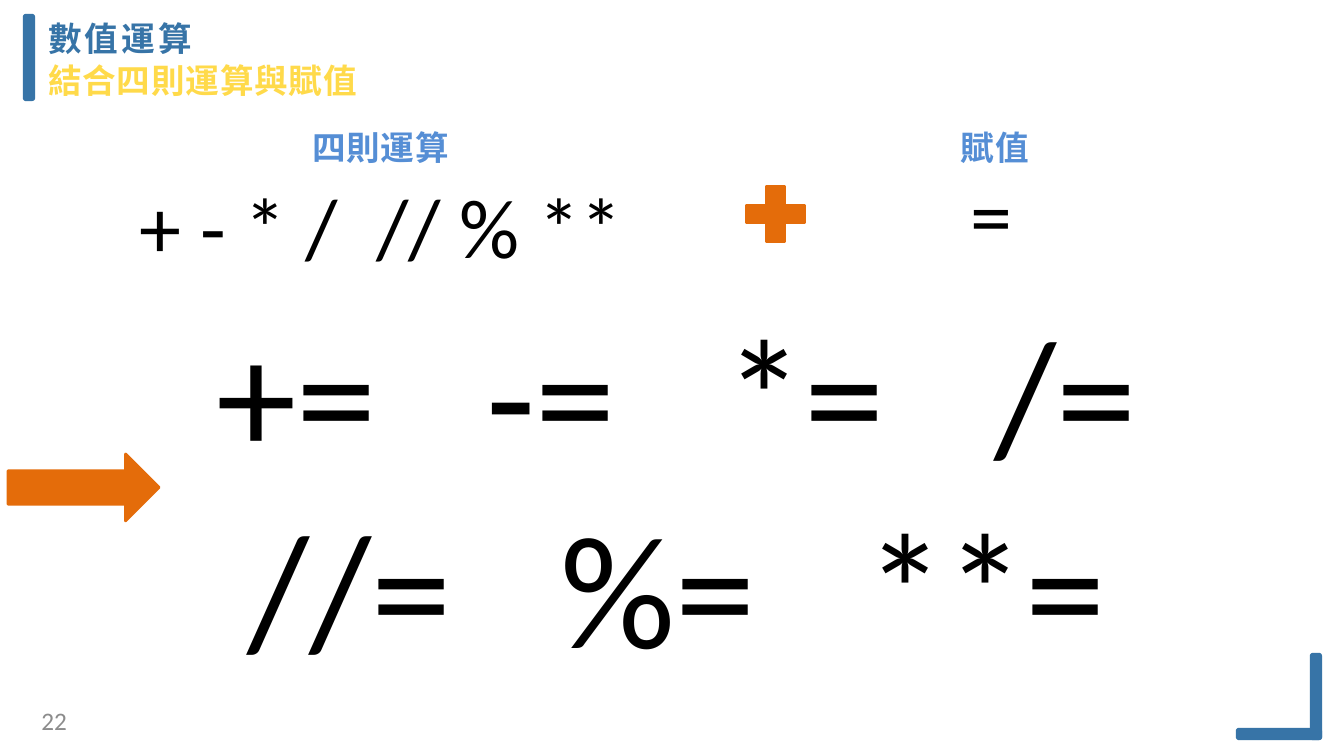
from pptx import Presentation
from pptx.dml.color import RGBColor
from pptx.enum.shapes import MSO_SHAPE
from pptx.enum.text import MSO_ANCHOR, MSO_AUTO_SIZE, PP_ALIGN
from pptx.util import Pt

EMU_PER_PIXEL = 914400 / 100.8
COLORS = {"blue": "3774A7", "yellow": "FFDA4A", "heading": "558ED5",
          "orange": "E46C0A", "black": "000000", "gray": "8C8C8C"}
LATIN, CJK = "Calibri", "Noto Sans CJK SC"


def px(*lengths):
    return [round(length * EMU_PER_PIXEL) for length in lengths]


def color(name):
    return RGBColor.from_string(COLORS[name])


class SlideBuilder:
    def __init__(self, presentation):
        self.slide = presentation.slides.add_slide(presentation.slide_layouts[5])

    def frame(self, shape, margins, wrap=True):
        frame = shape.text_frame
        frame.word_wrap = wrap
        frame.auto_size = MSO_AUTO_SIZE.NONE
        frame.vertical_anchor = MSO_ANCHOR.TOP
        (frame.margin_left, frame.margin_top,
         frame.margin_right, frame.margin_bottom) = px(*margins)
        return frame

    def run(self, paragraph, text, size, tint, font=LATIN, bold=False, spacing=0):
        run = paragraph.add_run()
        run.text = text
        run.font.name, run.font.size, run.font.bold = font, Pt(size), bold
        run.font.color.rgb = color(tint)
        properties = run.font._element
        if spacing:
            properties.set("spc", str(round(spacing * 100)))
        if font == CJK:
            east_asian = properties.makeelement(
                properties.find("{*}latin").tag.replace("latin", "ea"), {"typeface": font})
            properties.find("{*}latin").addnext(east_asian)

    def cjk_line(self, paragraph, text, tint, spacing, align):
        paragraph.alignment = align
        paragraph.line_spacing = Pt(28.8)
        self.run(paragraph, text, 24, tint, CJK, True, spacing)

    def title(self, box, lines):
        title = self.slide.shapes.title
        title.left, title.top, title.width, title.height = px(*box)
        frame = self.frame(title, (0, 1, 0, 0))
        for index, (text, tint, spacing) in enumerate(lines):
            paragraph = frame.add_paragraph() if index else frame.paragraphs[0]
            paragraph.space_before = Pt(1)
            self.cjk_line(paragraph, text, tint, spacing, PP_ALIGN.LEFT)

    def heading(self, box, text):
        frame = self.frame(self.slide.shapes.add_textbox(*px(*box)), (10, 5, 10, 5), False)
        self.cjk_line(frame.paragraphs[0], text, "heading", 0.6, PP_ALIGN.CENTER)

    def operators(self, box, size, rows, gap=0):
        """Each row is a list of groups, set apart by a space widened by gap points."""
        frame = self.frame(self.slide.shapes.add_textbox(*px(*box)), (10, 5, 10, 5))
        for index, groups in enumerate(rows):
            paragraph = frame.add_paragraph() if index else frame.paragraphs[0]
            paragraph.alignment = PP_ALIGN.CENTER
            for position, group in enumerate(groups):
                if position:
                    self.run(paragraph, " ", size, "black", spacing=gap)
                self.run(paragraph, group, size, "black")

    def page_number(self, box, number):
        frame = self.frame(self.slide.shapes.add_textbox(*px(*box)), (0, 0, 0, 0))
        frame.paragraphs[0].alignment = PP_ALIGN.RIGHT
        self.run(frame.paragraphs[0], number, 18, "gray")

    def shape(self, kind, box, tint, line_width):
        shape = self.slide.shapes.add_shape(kind, *px(*box))
        shape.shadow.inherit = False
        shape.fill.solid()
        shape.fill.fore_color.rgb = shape.line.color.rgb = color(tint)
        shape.line.width = Pt(line_width)
        return shape

    def bar(self, box):
        self.shape(MSO_SHAPE.ROUNDED_RECTANGLE, box, "blue", 3).adjustments[0] = 0.1


presentation = Presentation()
presentation.slide_width, presentation.slide_height = px(1344, 756)
builder = SlideBuilder(presentation)

# Title with its accent bar, and the corner mark
builder.title((48, 17, 405, 85), [("數值運算", "blue", 2.4),
                                  ("結合四則運算與賦值", "yellow", 0.6)])
for bar in [(25, 16, 8, 83), (1312, 655, 8, 83), (1238, 730, 82, 8)]:
    builder.bar(bar)

# Arithmetic operators plus assignment
builder.heading((301, 122, 159, 50), "四則運算")
builder.heading((941, 122, 99, 50), " 賦值")
builder.operators((76, 170, 610, 112), 60, [["+ - * /", "// % **"]], gap=13.6)
builder.operators((899, 158, 184, 112), 60, [["="]])
builder.shape(MSO_SHAPE.MATH_PLUS, (736, 176, 79, 76), "orange", 2)

# Combined operators
builder.shape(MSO_SHAPE.RIGHT_ARROW, (8, 454, 151, 67), "orange", 2)
builder.operators((195, 289, 963, 400), 115,
                  [["+=", "-=", "*=", "/="], ["//=", "%=", "**="]], gap=52)

# Page number
builder.page_number((8, 705, 59, 30), "22")

presentation.save("out.pptx")
